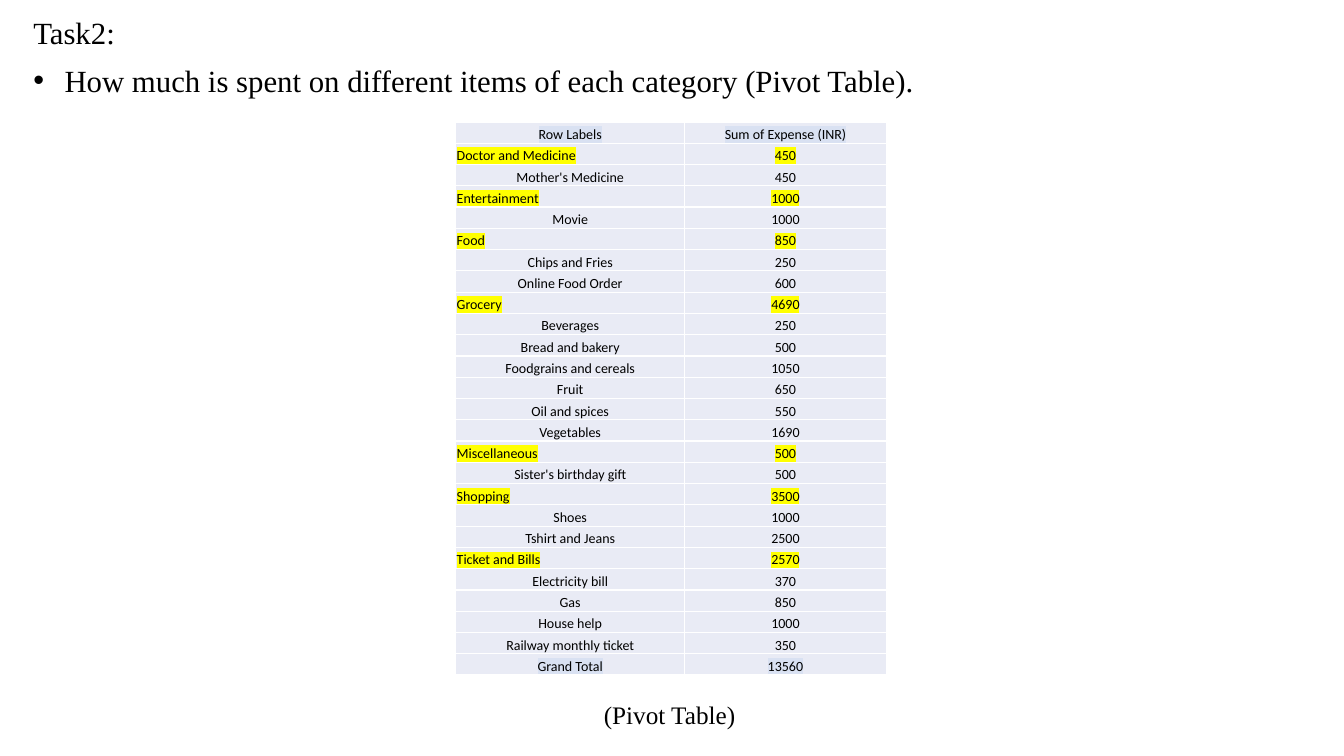
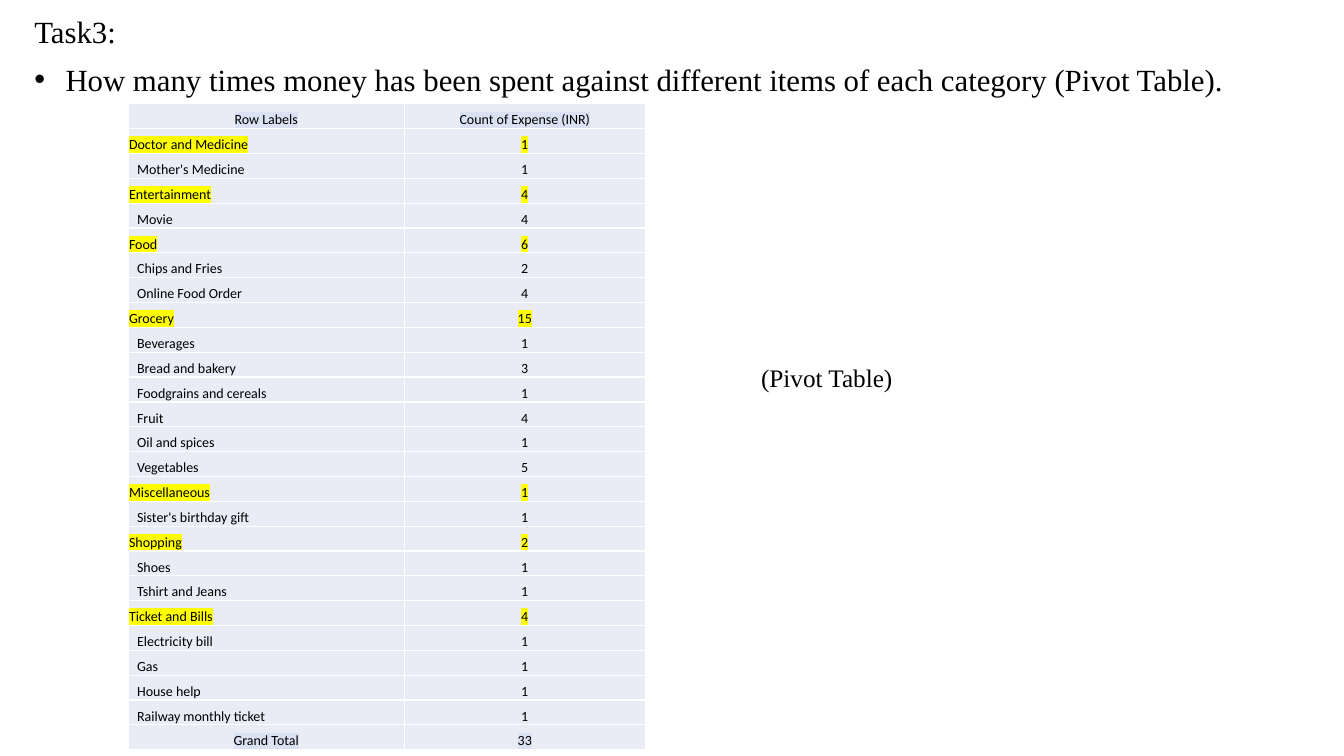
from dataclasses import dataclass

from lxml.etree import SubElement
from pptx import Presentation
from pptx.dml.color import RGBColor as RGB
from pptx.enum.text import MSO_ANCHOR as ANCHOR, MSO_AUTO_SIZE as AUTO_SIZE, PP_ALIGN as ALIGN
from pptx.oxml.ns import qn
from pptx.util import Inches, Pt


@dataclass(frozen=True)
class Theme:
    text: RGB = RGB(0x00, 0x00, 0x00)
    cell: RGB = RGB(0xE9, 0xEB, 0xF5)
    total_mark: str = "D9E1F2"
    category_mark: str = "FFFF00"
    prose_font: str = "Times New Roman"
    table_font: str = "Calibri"
    heading_size: Pt = Pt(22)
    caption_size: Pt = Pt(18)
    table_size: Pt = Pt(10)


THEME = Theme()

# Each item: (name, sum of expense, number of expenses)
EXPENSES = {
    "Doctor and Medicine": [("Mother's Medicine", 450, 1)],
    "Entertainment": [("Movie", 1000, 4)],
    "Food": [("Chips and Fries", 250, 2), ("Online Food Order", 600, 4)],
    "Grocery": [
        ("Beverages", 250, 1),
        ("Bread and bakery", 500, 3),
        ("Foodgrains and cereals", 1050, 1),
        ("Fruit", 650, 4),
        ("Oil and spices", 550, 1),
        ("Vegetables", 1690, 5),
    ],
    "Miscellaneous": [("Sister's birthday gift", 500, 1)],
    "Shopping": [("Shoes", 1000, 1), ("Tshirt and Jeans", 2500, 1)],
    "Ticket and Bills": [
        ("Electricity bill", 370, 1),
        ("Gas", 850, 1),
        ("House help", 1000, 1),
        ("Railway monthly ticket", 350, 1),
    ],
}

# Boxes are left, top, width, height in inches
TASKS = [
    dict(
        heading="Task2:",
        question="How much is spent on different items of each category (Pivot Table).",
        measure="Sum of Expense (INR)",
        field=1,
        heading_box=(0.23, 0.06, 12.75, 1.38),
        table_box=(4.52, 1.21, 4.27, 5.49),
        columns=(2.27, 2),
        item_align=ALIGN.CENTER,
        item_inset=0.01,
        caption_box=(5.89, 6.89, 1.55, 0.4),
    ),
    dict(
        heading="Task3:",
        question="How many times money has been spent against different items "
                 "of each category (Pivot Table).",
        measure="Count of Expense (INR)",
        field=2,
        heading_box=(0.24, 0.05, 12.42, 0.93),
        table_box=(1.27, 1.03, 5.13, 6.41),
        columns=(2.74, 2.39),
        item_align=ALIGN.LEFT,
        item_inset=0.09,
        caption_box=(7.45, 3.55, 1.53, 0.4),
    ),
]


def style_text(paragraph, font_name, size, mark=None):
    """Format every run; mark is an optional highlight colour."""
    for run in paragraph.runs:
        run.font.size = size
        run.font.color.rgb = THEME.text
        if mark:
            highlight = SubElement(run.font._element, qn("a:highlight"))
            SubElement(highlight, qn("a:srgbClr"), val=mark)
        run.font.name = font_name


def pivot_rows(task):
    """Return (label, value, highlight, label alignment, left inset) per row."""
    field = task["field"]
    rows = [("Row Labels", task["measure"], THEME.total_mark, ALIGN.CENTER, 0.01)]
    grand_total = 0
    for category, items in EXPENSES.items():
        subtotal = sum(item[field] for item in items)
        grand_total += subtotal
        rows.append((category, subtotal, THEME.category_mark, ALIGN.LEFT, 0.01))
        for item in items:
            rows.append((item[0], item[field], None, task["item_align"], task["item_inset"]))
    rows.append(("Grand Total", grand_total, THEME.total_mark, ALIGN.CENTER, 0.01))
    return rows


prs = Presentation()
prs.slide_width, prs.slide_height = Inches(13.33), Inches(7.5)
title_only = prs.slide_layouts[5]

for task in TASKS:
    slide = prs.slides.add_slide(title_only)

    heading = slide.shapes.title
    heading.left, heading.top, heading.width, heading.height = map(Inches, task["heading_box"])
    frame = heading.text_frame
    frame.auto_size = AUTO_SIZE.NONE
    frame.vertical_anchor = ANCHOR.TOP
    frame.text = task["heading"] + "\n" + task["question"]
    for paragraph in frame.paragraphs:
        paragraph.alignment = ALIGN.LEFT
        paragraph.space_before = Pt(6)
        paragraph.line_spacing = 1.07
        style_text(paragraph, THEME.prose_font, THEME.heading_size)
    bullet = frame.paragraphs[1]._p.get_or_add_pPr()
    bullet.set("marL", str(Inches(0.31)))
    bullet.set("indent", str(-Inches(0.31)))
    SubElement(bullet, qn("a:buFont"), typeface="Arial")
    SubElement(bullet, qn("a:buChar"), char="•")

    rows = pivot_rows(task)
    pivot = slide.shapes.add_table(len(rows), 2, *map(Inches, task["table_box"])).table
    pivot.first_row = pivot.horz_banding = False
    for column, width in zip(pivot.columns, task["columns"]):
        column.width = Inches(width)
    for row, (label, value, mark, align, inset) in zip(pivot.rows, rows):
        label_cell, value_cell = row.cells
        for cell, text, cell_align, left in (
            (label_cell, label, align, inset),
            (value_cell, str(value), ALIGN.CENTER, 0.01),
        ):
            cell.fill.solid()
            cell.fill.fore_color.rgb = THEME.cell
            cell.vertical_anchor = ANCHOR.BOTTOM
            cell.margin_left = Inches(left)
            cell.margin_right = cell.margin_top = Inches(0.01)
            cell.margin_bottom = 0
            cell.text_frame.text = text
            paragraph = cell.text_frame.paragraphs[0]
            paragraph.alignment = cell_align
            style_text(paragraph, THEME.table_font, THEME.table_size, mark)

    caption = slide.shapes.add_textbox(*map(Inches, task["caption_box"])).text_frame
    caption.word_wrap = False
    caption.text = "(Pivot Table)"
    style_text(caption.paragraphs[0], THEME.prose_font, THEME.caption_size)

prs.save("out.pptx")
